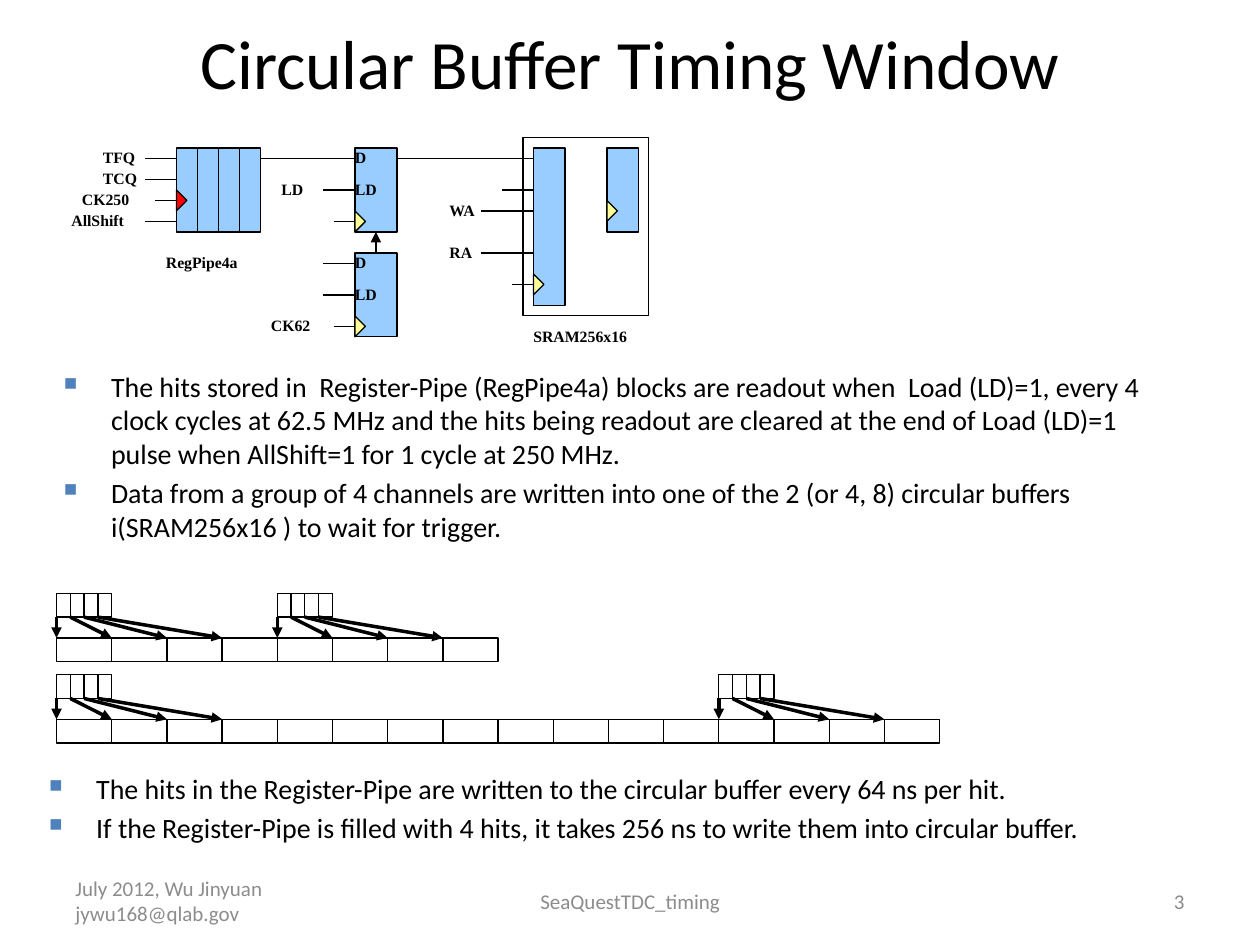
"""Build the slide on the timing window of the circular buffer."""
from lxml import etree
from pptx import Presentation
from pptx.dml.color import RGBColor
from pptx.enum.shapes import MSO_CONNECTOR, MSO_SHAPE
from pptx.enum.text import MSO_ANCHOR, PP_ALIGN
from pptx.oxml.ns import qn
from pptx.util import Cm, Pt

RECTANGLE, TRIANGLE = MSO_SHAPE.RECTANGLE, MSO_SHAPE.ISOSCELES_TRIANGLE
STRAIGHT = MSO_CONNECTOR.STRAIGHT
LEFT, CENTER, RIGHT = PP_ALIGN.LEFT, PP_ALIGN.CENTER, PP_ALIGN.RIGHT
TOP, MIDDLE = MSO_ANCHOR.TOP, MSO_ANCHOR.MIDDLE

COLORS = {"black": "000000", "white": "FFFFFF", "gray": "8C8C8C", "blue": "99CCFF",
          "yellow": "FFFF99", "red": "FF0000", "bullet": "4F81BD"}
BODY_FONT, LABEL_FONT = "Calibri", "Times New Roman"

UNIT = 2.54 / 12
CIRCUIT_LEFT, CIRCUIT_TOP = 1.44, 2.77
LETTER_WIDTH = 0.3
BUFFER_LEFT, CELL_WIDTH, CELL_HEIGHT, PIPE_TO_BUFFER = 1.14, 17.8 / 16, 0.48, 0.9
PIPE_DEPTH = 4

BLOCKS = [(43, 0, 12, 17, "white"), (27, 1, 4, 8, "blue"), (44, 1, 3, 15, "blue"),
          (51, 1, 3, 8, "blue"), (27, 11, 4, 8, "blue")]
BLOCKS += [(10 + 2 * stage, 1, 2, 8, "blue") for stage in range(PIPE_DEPTH)]
CLOCKS = [(27, 8, "yellow"), (44, 14, "yellow"), (51, 7, "yellow"),
          (27, 18, "yellow"), (10, 6, "red")]
WIRES = [(7, 10, 2), (7, 10, 4), (8, 10, 6), (7, 10, 8), (18, 27, 2), (24, 27, 5),
         (25, 27, 8), (24, 27, 12), (24, 27, 15), (25, 27, 18), (31, 39, 2), (39, 44, 2),
         (41, 44, 5), (39, 44, 7), (39, 44, 11), (42, 44, 14)]
LABELS = [("TFQ", 3, 1), ("TCQ", 3, 3), ("CK250", 1, 5), ("AllShift", 0, 7),
          ("RegPipe4a", 9, 11), ("LD", 20, 4), ("D", 27, 1), ("LD", 27, 4),
          ("D", 27, 11), ("LD", 27, 14), ("CK62", 19, 17), ("WA", 36, 6),
          ("RA", 36, 10), ("SRAM256x16", 44, 18)]
BUFFERS = [(11.96, 8, (0, 4)), (13.6, 16, (0, 12))]

READOUT_NOTES = [
    "The hits stored in  Register-Pipe (RegPipe4a) blocks are readout when  Load (LD)=1, "
    "every 4 clock cycles at 62.5 MHz and the hits being readout are cleared at the end of "
    "Load (LD)=1 pulse when AllShift=1 for 1 cycle at 250 MHz.",
    "Data from a group of 4 channels are written into one of the 2 (or 4, 8) circular "
    "buffers i(SRAM256x16 ) to wait for trigger.",
]
TIMING_NOTES = [
    "The hits in the Register-Pipe are written to the circular buffer every 64 ns per hit.",
    "If the Register-Pipe is filled with 4 hits, it takes 256 ns to write them into "
    "circular buffer.",
]
FOOTERS = [("July 2012, Wu Jinyuan jywu168@qlab.gov", 1.27, 5.92, LEFT),
           ("SeaQuestTDC_timing", 8.68, 8.05, CENTER), ("3", 18.2, 5.93, RIGHT)]


def color(name):
    return RGBColor.from_string(COLORS[name])


class SlideBuilder:
    """Holds the drawing style and the current slide."""

    def __init__(self, slide):
        self.slide = slide

    def format(self, paragraph, size, name="black", font=BODY_FONT, bold=False, align=LEFT):
        paragraph.alignment = align
        paragraph.font.size = Pt(size)
        paragraph.font.name = font
        paragraph.font.bold = bold
        paragraph.font.color.rgb = color(name)

    def title(self, text):
        shape = self.slide.shapes.title
        shape.left, shape.top, shape.width, shape.height = Cm(1.27), Cm(0.76), Cm(22.86), Cm(0.97)
        shape.text_frame.text = text
        shape.text_frame.vertical_anchor = MIDDLE
        self.format(shape.text_frame.paragraphs[0], 39.6, align=CENTER)

    def text_frame(self, left, top, width, height, anchor=TOP, wrap=True):
        shape = self.slide.shapes.add_textbox(Cm(left), Cm(top), Cm(width), Cm(height))
        shape.text_frame.word_wrap = wrap
        shape.text_frame.vertical_anchor = anchor
        return shape.text_frame

    def footer(self, text, left, width, align):
        frame = self.text_frame(left, 17.65, width, 1.02, MIDDLE)
        frame.text = text
        self.format(frame.paragraphs[0], 12, "gray", align=align)

    def label(self, text, left, top):
        frame = self.text_frame(left, top, len(text) * LETTER_WIDTH, 0.38, wrap=False)
        frame.margin_left = frame.margin_right = frame.margin_top = frame.margin_bottom = 0
        frame.text = text
        self.format(frame.paragraphs[0], 9, font=LABEL_FONT, bold=True)

    def bullets(self, items, left, top, height):
        frame = self.text_frame(left, top, 22.43, height)
        frame.text = "\n".join(items)
        for paragraph in frame.paragraphs:
            properties = paragraph._p.get_or_add_pPr()
            properties.set("marL", str(Cm(0.95)))
            properties.set("indent", str(Cm(-0.95)))
            bullet_color = etree.SubElement(properties, qn("a:buClr"))
            etree.SubElement(bullet_color, qn("a:srgbClr"), val=COLORS["bullet"])
            etree.SubElement(properties, qn("a:buSzPct"), val="65000")
            etree.SubElement(properties, qn("a:buChar"), char="■")
            paragraph.space_before = Pt(3.2)
            self.format(paragraph, 16)

    def block(self, left, top, width, height, fill, kind=RECTANGLE, rotation=0):
        shape = self.slide.shapes.add_shape(kind, Cm(left), Cm(top), Cm(width), Cm(height))
        shape.rotation = rotation
        shape.shadow.inherit = False
        shape.fill.solid()
        shape.fill.fore_color.rgb = color(fill)
        shape.line.color.rgb = color("black")
        shape.line.width = Pt(0.75)

    def line(self, start_x, start_y, end_x, end_y, width=1, arrow=False):
        connector = self.slide.shapes.add_connector(
            STRAIGHT, Cm(start_x), Cm(start_y), Cm(end_x), Cm(end_y))
        connector.line.color.rgb = color("black")
        connector.line.width = Pt(width)
        if arrow:
            etree.SubElement(connector.line._get_or_add_ln(), qn("a:tailEnd"), type="triangle")
        etree.SubElement(connector._element.spPr, qn("a:effectLst"))


def circuit_x(column):
    return CIRCUIT_LEFT + column * UNIT


def circuit_y(row):
    return CIRCUIT_TOP + row * UNIT


def draw_circuit(builder):
    for column, row, width, height, fill in BLOCKS:
        builder.block(circuit_x(column), circuit_y(row), width * UNIT, height * UNIT, fill)
    for column, row, fill in CLOCKS:
        builder.block(circuit_x(column - 0.5), circuit_y(row - 0.5), 2 * UNIT, UNIT, fill,
                      TRIANGLE, 90)
    for start, end, row in WIRES:
        builder.line(circuit_x(start), circuit_y(row), circuit_x(end), circuit_y(row))
    builder.line(circuit_x(29), circuit_y(11), circuit_x(29), circuit_y(9), arrow=True)
    for text, column, row in LABELS:
        builder.label(text, circuit_x(column), circuit_y(row))


def draw_buffer(builder, top, cell_count, pipe_cells):
    buffer_top = top + PIPE_TO_BUFFER
    for cell in range(cell_count):
        builder.block(BUFFER_LEFT + cell * CELL_WIDTH, buffer_top, CELL_WIDTH, CELL_HEIGHT, "white")
    stage_width = CELL_WIDTH / PIPE_DEPTH
    for pipe_cell in pipe_cells:
        left = BUFFER_LEFT + pipe_cell * CELL_WIDTH
        for stage in range(PIPE_DEPTH):
            builder.block(left + stage * stage_width, top, stage_width, CELL_HEIGHT, "white")
        for stage in range(PIPE_DEPTH):
            builder.line(left + stage * stage_width, top + CELL_HEIGHT,
                         left + stage * CELL_WIDTH, buffer_top, 2, arrow=True)


def main():
    presentation = Presentation()
    presentation.slide_width, presentation.slide_height = Cm(25.4), Cm(19.05)
    builder = SlideBuilder(presentation.slides.add_slide(presentation.slide_layouts[5]))
    builder.title("Circular Buffer Timing Window")
    for footer in FOOTERS:
        builder.footer(*footer)
    for buffer in BUFFERS:
        draw_buffer(builder, *buffer)
    builder.bullets(TIMING_NOTES, 0.74, 15.42, 2.13)
    builder.bullets(READOUT_NOTES, 1.04, 7.32, 4.01)
    draw_circuit(builder)
    presentation.save("out.pptx")


if __name__ == "__main__":
    main()
